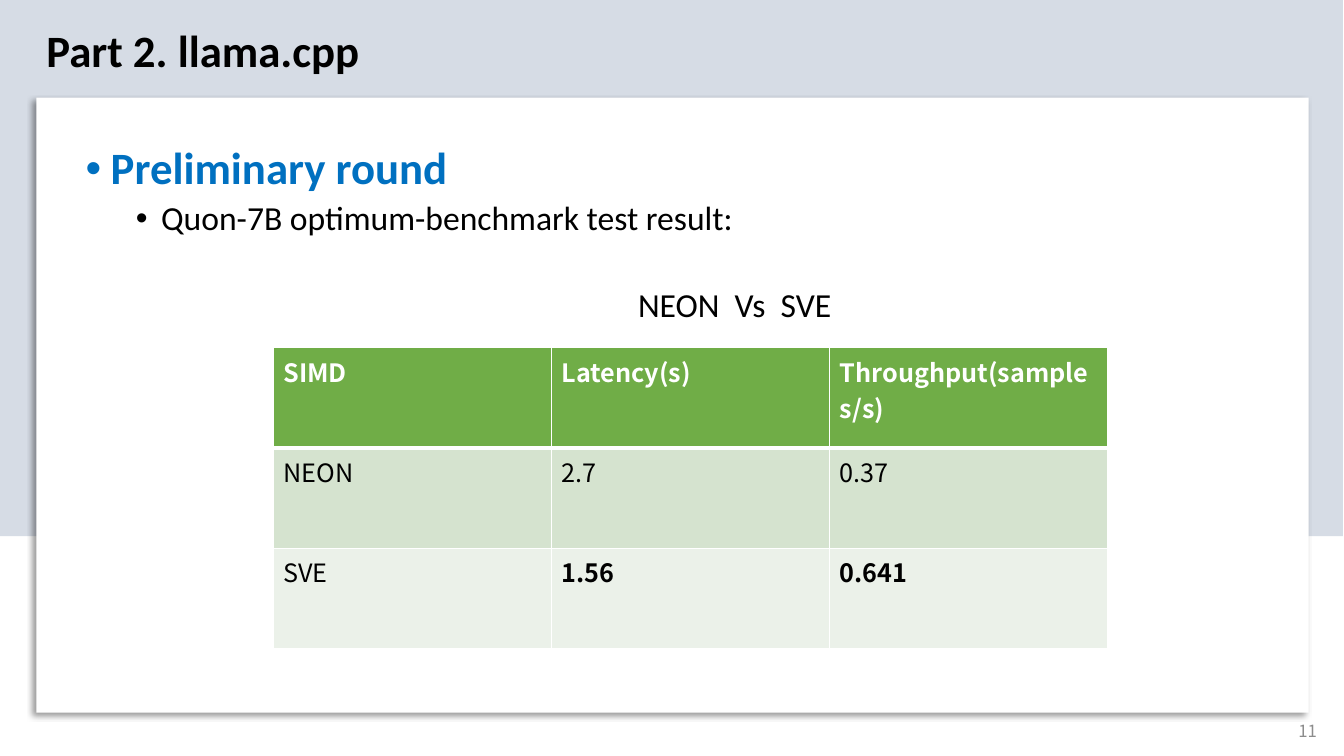
import pptx
import pptx.util
import pptx.dml.color
import pptx.enum.shapes
import pptx.enum.text
import pptx.oxml
import pptx.oxml.ns

Inches = pptx.util.Inches
Pt = pptx.util.Pt
RGB = pptx.dml.color.RGBColor
Align = pptx.enum.text.PP_ALIGN
Anchor = pptx.enum.text.MSO_ANCHOR

BLACK = RGB(0x00, 0x00, 0x00)
WHITE = RGB(0xFF, 0xFF, 0xFF)
BLUE = RGB(0x00, 0x70, 0xC0)
GRAY = RGB(0x8C, 0x8C, 0x8C)
BAND = RGB(0xD6, 0xDC, 0xE5)
GREEN = RGB(0x70, 0xAD, 0x47)
MINT = RGB(0xD5, 0xE3, 0xCF)
PALE = RGB(0xEB, 0xF1, 0xE9)
LATIN = "Calibri"
NOTO = "Noto Sans CJK KR"

TITLE = "Part 2. llama.cpp"
NUMBER = "11"
# text, size, colour, bold, left margin, first-line indent, space before, bullet
BODY = [
    ("Preliminary round", 32, BLUE, True, 0.25, -0.25, 10, True),
    ("Quon-7B optimum-benchmark test result:", 24, BLACK, False, 0.75, -0.25, 5, True),
    ("NEON  Vs  SVE", 24, BLACK, False, 5.48, 0, 36, False),
]
ROWS = [
    ("SIMD", "Latency(s)", "Throughput(samples/s)"),
    ("NEON", "2.7", "0.37"),
    ("SVE", "1.56", "0.641"),
]
FILLS = [GREEN, MINT, PALE]
PANELS = [((-0.01, 0, 13.33, 5.32), BAND), ((0.36, 0.97, 12.62, 6.1), WHITE)]

NS = pptx.oxml.ns.nsdecls("a")
SHADOW = (f'<a:effectLst {NS}><a:outerShdw blurRad="{Pt(4)}" dist="{Pt(3)}" dir="8100000" '
          'algn="tr" rotWithShape="0"><a:srgbClr val="000000"><a:alpha val="40000"/>'
          '</a:srgbClr></a:outerShdw></a:effectLst>')


def box(left, top, width, height):
    return [Inches(v) for v in (left, top, width, height)]


def write(para, text, font, size, color, bold=False):
    run = para.add_run()
    run.text = text
    look = {"name": font, "size": Pt(size), "bold": bold}
    for key, value in look.items():
        setattr(run.font, key, value)
    run.font.color.rgb = color


def indent(para, margin, first, bullet):
    props = para._p.get_or_add_pPr()
    props.set("marL", str(Inches(margin)))
    props.set("indent", str(Inches(first)))
    if bullet:
        for mark in ('buFont {} typeface="Arial"', 'buChar {} char="•"'):
            props.append(pptx.oxml.parse_xml(f"<a:{mark.format(NS)}/>"))


def border(cell, widths):
    """Give the cell white edges; widths maps L, R, T, B to points."""
    props = cell._tc.get_or_add_tcPr()
    for spot, (side, width) in enumerate(widths.items()):
        line = (f'<a:ln{side} {NS} w="{Pt(width)}"><a:solidFill>'
                f'<a:srgbClr val="{WHITE}"/></a:solidFill></a:ln{side}>')
        props.insert(spot, pptx.oxml.parse_xml(line))


def main():
    deck = pptx.Presentation()
    deck.slide_width, deck.slide_height = Inches(13.33), Inches(7.5)
    slide = deck.slides.add_slide(deck.slide_layouts[5])
    shapes = slide.shapes

    for place, color in PANELS:
        panel = shapes.add_shape(pptx.enum.shapes.MSO_SHAPE.RECTANGLE, *box(*place))
        panel.shadow.inherit = False
        panel.fill.solid()
        panel.fill.fore_color.rgb = color
        panel.line.fill.background()
    props = panel._element.spPr
    props.remove(props.find(pptx.oxml.ns.qn("a:effectLst")))
    props.append(pptx.oxml.parse_xml(SHADOW))

    title = shapes.title
    shapes._spTree.append(title._element)  # bring in front of the panels
    title.left, title.top, title.width, title.height = box(0.36, 0.18, 3.33, 0.64)
    look = {"word_wrap": False, "vertical_anchor": Anchor.TOP,
            "auto_size": pptx.enum.text.MSO_AUTO_SIZE.SHAPE_TO_FIT_TEXT}
    for key, value in look.items():
        setattr(title.text_frame, key, value)
    para = title.text_frame.paragraphs[0]
    para.alignment = Align.LEFT
    para.line_spacing = 1.0
    write(para, TITLE, LATIN, 32, BLACK, True)

    frame = shapes.add_textbox(*box(0.75, 1.4, 11.76, 5.34)).text_frame
    frame.word_wrap = True
    for spot, (text, size, color, bold, margin, first, gap, bullet) in enumerate(BODY):
        para = frame.add_paragraph() if spot else frame.paragraphs[0]
        para.level = min(spot, 1)
        para.line_spacing = 0.9
        para.space_before = Pt(gap)
        indent(para, margin, first, bullet)
        write(para, text, LATIN, size, color, bold)

    table = shapes.add_table(len(ROWS), len(ROWS[0]), *box(2.71, 3.45, 8.28, 2.99)).table
    for r, row in enumerate(ROWS):
        for c, text in enumerate(row):
            cell = table.cell(r, c)
            cell.fill.solid()
            cell.fill.fore_color.rgb = FILLS[r]
            border(cell, {"L": 1, "R": 1, "T": 3 if r == 1 else 1, "B": 1 if r else 3})
            bold = r == 0 or (r == 2 and c > 0)
            write(cell.text_frame.paragraphs[0], text, NOTO, 18, BLACK if r else WHITE, bold)

    frame = shapes.add_textbox(*box(10.16, 7.05, 3, 0.4)).text_frame
    frame.word_wrap = True
    frame.vertical_anchor = Anchor.MIDDLE
    para = frame.paragraphs[0]
    para.alignment = Align.RIGHT
    write(para, NUMBER, NOTO, 12, GRAY)

    deck.save("out.pptx")


if __name__ == "__main__":
    main()
